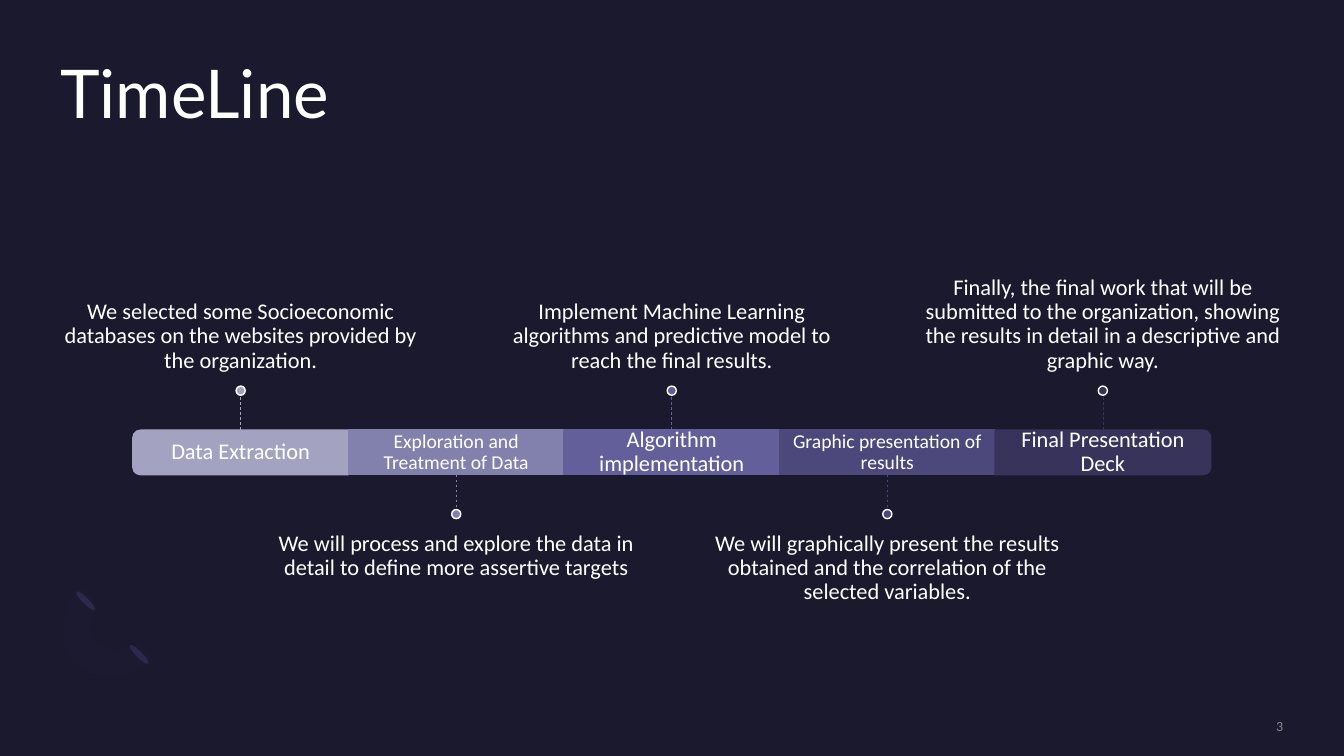
from dataclasses import dataclass
from pptx import Presentation
from pptx.dml.color import RGBColor as RGB
from pptx.enum.dml import MSO_LINE as Dash
from pptx.enum.shapes import MSO_CONNECTOR as Conn, MSO_SHAPE as Kind
from pptx.enum.text import MSO_ANCHOR as Anchor, PP_ALIGN as Align
from pptx.oxml.ns import qn
from pptx.oxml.xmlchemy import OxmlElement as Node
from pptx.util import Cm, Pt


@dataclass(frozen=True)
class Theme:
    """Colours, fonts and type sizes."""
    back: str = "1B192E"
    text: str = "FFFFFF"
    faint: str = "A6A6A6"
    petal: str = "2C284A"
    ring: str = "7771B2"
    shades: tuple = ("A3A3C1", "8281AE", "625F9A", "4C487B", "37335B")
    head: str = "Lato"
    body: str = "Calibri"
    title: int = 48
    large: int = 16
    small: int = 14
    note: int = 10


THEME = Theme()
STEPS = (
    ("Data Extraction", THEME.large,
     "We selected some Socioeconomic databases on the websites provided by the organization."),
    ("Exploration and Treatment of Data", THEME.small,
     "We will process and explore the data in detail to define more assertive targets"),
    ("Algorithm implementation", THEME.large,
     "Implement Machine Learning algorithms and predictive model to reach the final results."),
    ("Graphic presentation of results", THEME.small,
     "We will graphically present the results obtained and the correlation of the selected variables."),
    ("Final Presentation Deck", THEME.large,
     "Finally, the final work that will be submitted to the organization, showing the results "
     "in detail in a descriptive and graphic way."),
)


def apply(item, style):
    """Set each attribute named in the style."""
    for name, value in style.items():
        setattr(item, name, value)


def fade(node, share):
    """Make the colours below a node partly transparent."""
    for tint in node.iter(qn("a:srgbClr")):
        alpha = Node("a:alpha")
        alpha.set("val", str(share * 1000))
        tint.append(alpha)


def paint(shape, fill, edge=None):
    """Give a shape a flat fill and an optional outline."""
    shape.shadow.inherit = False
    shape.fill.solid()
    shape.fill.fore_color.rgb = RGB.from_string(fill)
    if edge:
        shape.line.color.rgb = RGB.from_string(edge)
        shape.line.width = Pt(1)
    else:
        shape.line.fill.background()


def add(slide, kind, box, fill, edge=None, turn=0):
    """Draw a preset shape in a box given in centimetres."""
    shape = slide.shapes.add_shape(kind, *map(Cm, box))
    shape.rotation = turn
    paint(shape, fill, edge)
    return shape


def write(slide, box, text, size, font=THEME.body, color=THEME.text,
          align=Align.CENTER, anchor=Anchor.MIDDLE, pads=(0, 0, 0, 0), space=0.9):
    """Place one paragraph in a box and return its run."""
    frame = slide.shapes.add_textbox(*map(Cm, box)).text_frame
    sides = ("margin_left", "margin_top", "margin_right", "margin_bottom")
    apply(frame, {"word_wrap": True, "vertical_anchor": anchor,
                  **dict(zip(sides, map(Cm, pads)))})
    para = frame.paragraphs[0]
    apply(para, {"alignment": align, "line_spacing": space})
    run = para.add_run()
    run.text = text
    apply(run.font, {"name": font, "size": Pt(size)})
    run.font.color.rgb = RGB.from_string(color)
    return run


def curve(start, one, two, end, count=12):
    """Return points along a cubic curve after its start."""
    points = []
    for step in range(1, count + 1):
        t = step / count
        parts = ((1 - t) ** 3, 3 * t * (1 - t) ** 2, 3 * t * t * (1 - t), t ** 3)
        points.append(tuple(Cm(sum(w * p[axis] for w, p in zip(parts, (start, one, two, end))))
                            for axis in (0, 1)))
    return points


def ornament(slide, box):
    """Draw the corner ring and its two petals."""
    left, top = box[:2]
    for shift in (1.35, 0):
        add(slide, Kind.OVAL, (left + 0.66 + shift, top + 0.03 + shift, 0.15, 0.66),
            THEME.petal, turn=135)

    def place(*pairs):
        return [(left + x, top + y) for x, y in pairs]

    rim = place((0.51, 1.96), (0, 1.45), (0.05, 0.58), (0.64, 0))
    hole = place((1.09, 0.46), (0.79, 0.74), (0.76, 1.19), (1.02, 1.42))
    base = place((1.02, 1.42), (1.27, 1.68), (1.7, 1.65), (2.01, 1.37))
    tail = place((2.44, 1.83), (1.88, 2.39), (0.99, 2.46), (0.51, 1.96))
    first, *rest = [tuple(map(Cm, rim[0])), *curve(*rim),
                    tuple(map(Cm, hole[0])), *curve(*hole), *curve(*base),
                    tuple(map(Cm, tail[0])), *curve(*tail)]
    path = slide.shapes.build_freeform(*first)
    path.add_line_segments(rest, close=True)
    ring = path.convert_to_shape()
    paint(ring, THEME.ring)
    fade(ring._element.spPr, 2)


def segment(slide, box, order, label, size):
    """Draw one piece of the bar with its label."""
    left, top, width, high = box
    shade = THEME.shades[order]
    turn = {0: 270, len(STEPS) - 1: 90}.get(order, 0)
    if turn:
        spot = (left + (width - high) / 2, top + (high - width) / 2, high, width)
        piece = add(slide, Kind.ROUND_2_SAME_RECTANGLE, spot, shade, shade, turn)
    else:
        piece = add(slide, Kind.RECTANGLE, box, shade, shade)
    write(slide, box, label, size, pads=(0.32,) * 4)
    return piece


def marker(slide, box, order, piece, note):
    """Draw the dashed stem, dot and note of a segment."""
    left, top, width, high = box
    shade, above = THEME.shades[order], order % 2 == 0
    mid, dot, stem, wide, tall = left + width / 2, 0.23, 0.88, 9.07, 3.86
    edge = top if above else top + high
    tip = edge - stem if above else edge + stem
    line = slide.shapes.add_connector(Conn.STRAIGHT, Cm(mid), Cm(edge), Cm(mid), Cm(tip))
    if not piece.rotation:
        piece_side = 0 if above else 2
        line.begin_connect(piece, piece_side)
    line.line.color.rgb = RGB.from_string(shade)
    apply(line.line, {"width": Pt(0.5), "dash_style": Dash.DASH})
    line._element.spPr.append(Node("a:effectLst"))
    add(slide, Kind.OVAL, (mid - dot / 2, tip - dot if above else tip, dot, dot),
        shade, THEME.text)
    spot = tip - dot - tall if above else tip + dot
    write(slide, (mid - wide / 2, spot, wide, tall), note, THEME.large,
          anchor=Anchor.BOTTOM if above else Anchor.TOP,
          pads=(0, 0, 0, 0.33) if above else (0, 0.33, 0, 0))


def timeline(slide, box):
    """Divide the bar evenly among the steps."""
    left, top, width, high = box
    each = width / len(STEPS)
    for order, (label, size, note) in enumerate(STEPS):
        cell = (left + order * each, top, each, high)
        piece = segment(slide, cell, order, label, size)
        marker(slide, cell, order, piece, note)


def heading(slide, box):
    """Write the slide title."""
    write(slide, box, "TimeLine", THEME.title, THEME.head, align=Align.LEFT, anchor=Anchor.TOP)


def footer(slide, box):
    """Write the page number."""
    run = write(slide, box, "3", THEME.note, color=THEME.faint, align=Align.RIGHT, space=1.0)
    fade(run._r, 80)


def main():
    """Build and save the slide."""
    deck = Presentation()
    apply(deck, {"slide_width": Cm(33.87), "slide_height": Cm(19.05)})
    slide = deck.slides.add_slide(deck.slide_layouts[6])
    slide.background.fill.solid()
    slide.background.fill.fore_color.rgb = RGB.from_string(THEME.back)
    ornament(slide, (1.42, 14.78, 2.44, 2.46))
    heading(slide, (1.52, 1.52, 30.81, 3.71))
    timeline(slide, (3.35, 10.84, 27.16, 1.12))
    footer(slide, (27.64, 18.08, 4.7, 0.43))
    deck.save("out.pptx")


if __name__ == "__main__":
    main()
